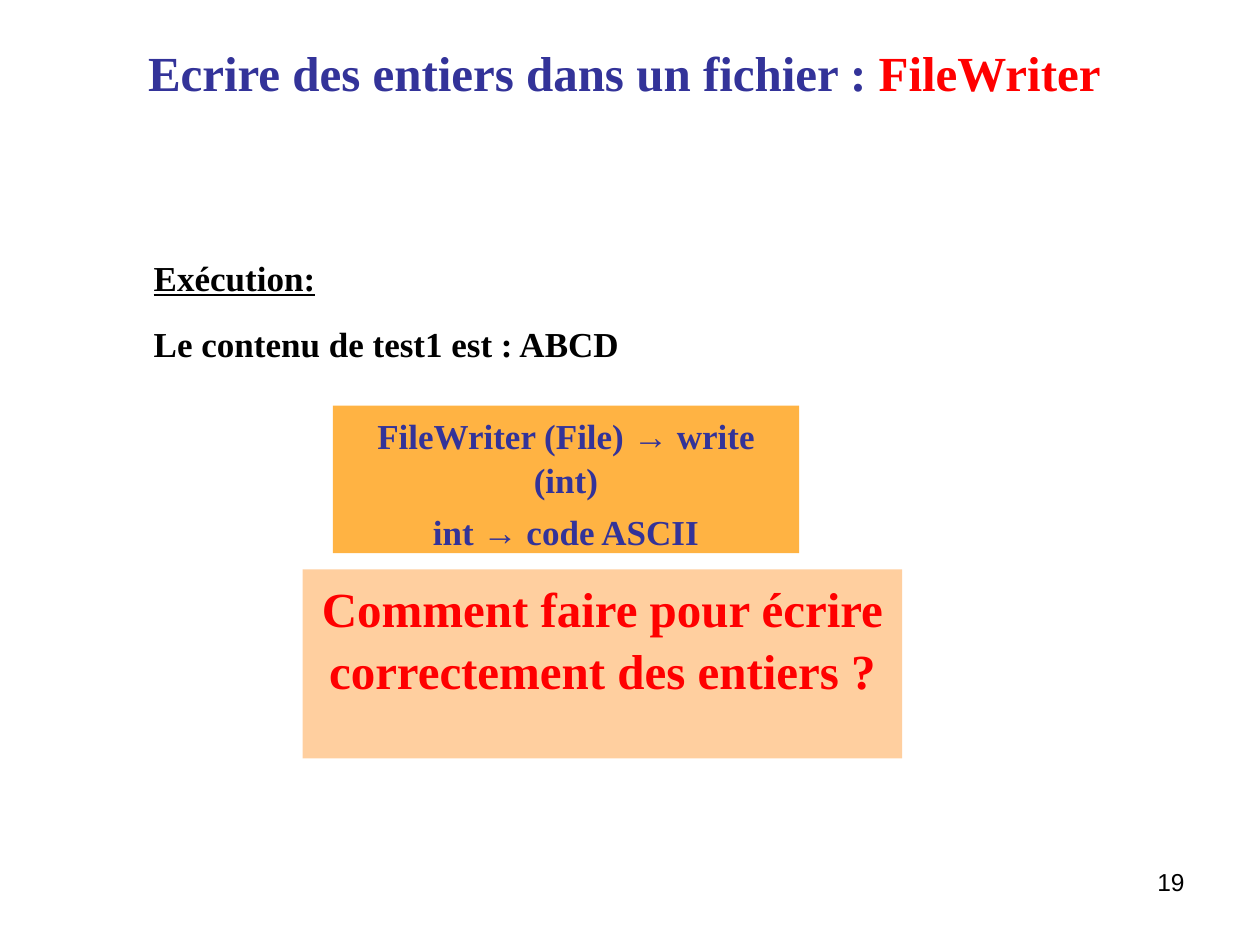
from pptx import Presentation
from pptx.dml.color import RGBColor as Color
from pptx.enum.shapes import MSO_SHAPE as Shape
from pptx.enum.text import MSO_ANCHOR as Anchor, PP_ALIGN as Align
from pptx.util import Cm, Pt

COLORS = {
    "blue": "333399",
    "red": "FF0000",
    "black": "000000",
    "orange": "FFB343",
    "peach": "FFCF9F",
}
SERIF, SANS = "Times New Roman", "Arial"

# Each paragraph is a list of runs: (text, colour, further font settings)
ARROW = ("→", "blue", {"name": SANS})
TITLE = [[("Ecrire des entiers dans un fichier : ", "blue", {}),
          ("FileWriter ", "red", {})]]
EXECUTION = [
    [("Exécution:", "black", {"underline": True})],
    [("Le contenu de test1 est : ABCD", "black", {})],
]
QUESTION = [[("Comment faire pour écrire correctement des entiers ?", "red", {})]]
EXPLANATION = [
    [("FileWriter (File) ", "blue", {}), ARROW, (" write (int)", "blue", {})],
    [("int ", "blue", {}), ARROW, (" code ASCII", "blue", {})],
]
PAGE_NUMBER = [[("19", "black", {"name": SANS, "bold": False})]]

# Boxes in centimetres: left, top, width, height
TITLE_BOX = (1.27, 0.53, 22.86, 1.8)
EXECUTION_BOX = (3.1, 5.13, 12.4, 2.13)
PAGE_NUMBER_BOX = (18.21, 17.35, 5.92, 1.32)
PANELS = [
    # box, fill, paragraphs, size, space before
    ((6.1, 11.48, 12.09, 3.81), "peach", QUESTION, 28, 7),
    ((6.71, 8.18, 9.4, 2.97), "orange", EXPLANATION, 20, 5),
]


def lengths(box):
    return [Cm(value) for value in box]


def write(frame, paragraphs, size, align, before=0, spacing=1.05):
    frame.word_wrap = True
    for index, runs in enumerate(paragraphs):
        paragraph = frame.add_paragraph() if index else frame.paragraphs[0]
        paragraph.alignment = align
        paragraph.space_before = Pt(before)
        paragraph.line_spacing = spacing
        for text, color, settings in runs:
            run = paragraph.add_run()
            run.text = text
            font = run.font
            font.size = Pt(size)
            font.color.rgb = Color.from_string(COLORS[color])
            for key, value in {"name": SERIF, "bold": True, **settings}.items():
                setattr(font, key, value)


def add_panel(slide, box, fill, paragraphs, size, before):
    panel = slide.shapes.add_shape(Shape.RECTANGLE, *lengths(box))
    panel.shadow.inherit = False
    panel.fill.solid()
    panel.fill.fore_color.rgb = Color.from_string(COLORS[fill])
    panel.line.fill.background()
    panel.text_frame.vertical_anchor = Anchor.TOP
    write(panel.text_frame, paragraphs, size, Align.CENTER, before)


def main():
    presentation = Presentation()
    presentation.slide_width, presentation.slide_height = Cm(25.4), Cm(19.05)
    slide = presentation.slides.add_slide(presentation.slide_layouts[5])

    title = slide.shapes.title
    title.left, title.top, title.width, title.height = lengths(TITLE_BOX)
    title.text_frame.vertical_anchor = Anchor.MIDDLE
    write(title.text_frame, TITLE, 28, Align.CENTER)

    execution = slide.shapes.add_textbox(*lengths(EXECUTION_BOX)).text_frame
    execution.margin_left = execution.margin_right = 0
    execution.margin_top = execution.margin_bottom = 0
    write(execution, EXECUTION, 20, Align.LEFT, 12.5)

    for panel in PANELS:
        add_panel(slide, *panel)

    page_number = slide.shapes.add_textbox(*lengths(PAGE_NUMBER_BOX)).text_frame
    write(page_number, PAGE_NUMBER, 14, Align.RIGHT, spacing=1.0)

    presentation.save("out.pptx")


if __name__ == "__main__":
    main()
